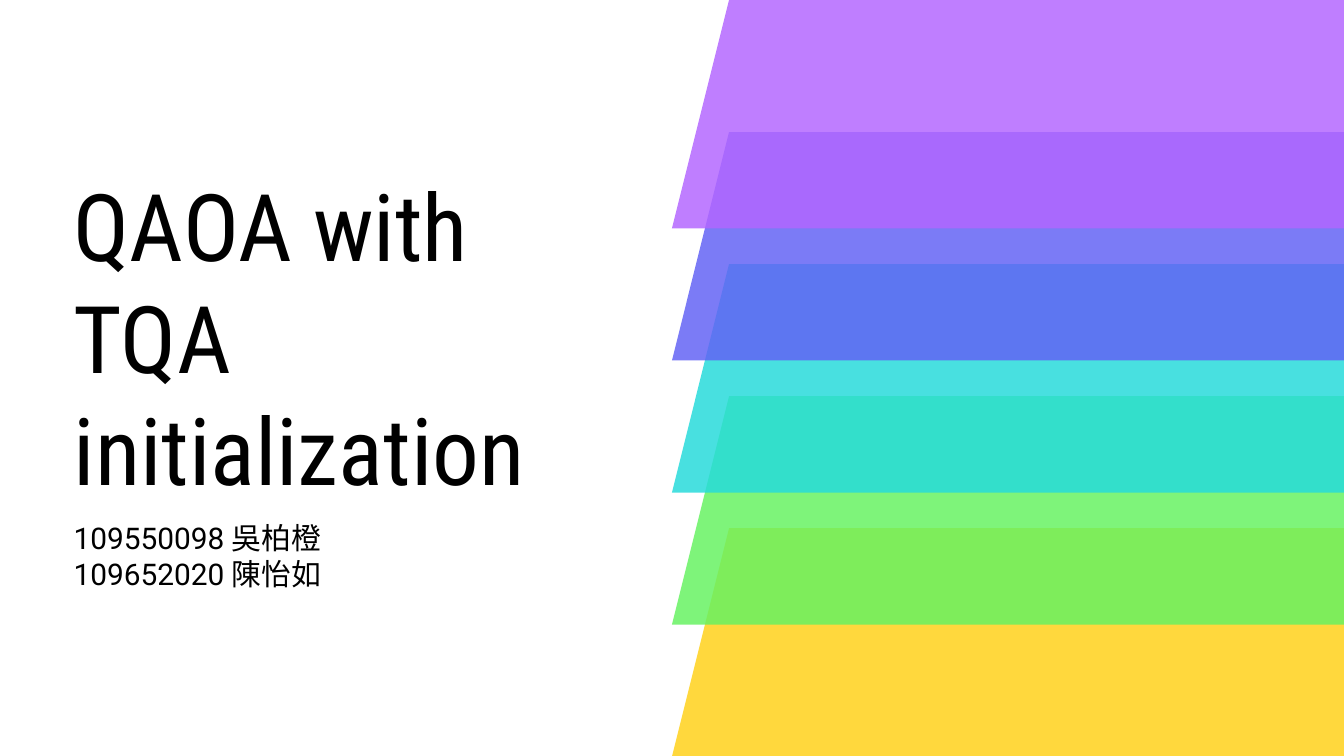
from dataclasses import dataclass

from lxml import etree
from pptx import Presentation
from pptx.dml.color import RGBColor
from pptx.enum import shapes, text
from pptx.oxml import ns
from pptx.util import Inches, Pt


@dataclass(frozen=True)
class Theme:
    ink: str = "000000"
    bands: tuple = ("B366FF", "6262F5", "25DBDB", "66F261", "FFD119")
    band_opacity: int = 84
    title_font: str = "Roboto Condensed"
    body_font: str = "Roboto"
    title_size: int = 50
    body_size: int = 16


THEME = Theme()


def add_text(slide, top, height, lines, font, size):
    """Add a left-aligned, vertically centred text box."""
    box = slide.shapes.add_textbox(
        Inches(0.45), Inches(top), Inches(4), Inches(height))
    frame = box.text_frame
    frame.word_wrap = True
    frame.vertical_anchor = text.MSO_ANCHOR.MIDDLE
    frame.margin_left = frame.margin_right = Inches(0.1)
    frame.margin_top = frame.margin_bottom = Inches(0.1)
    frame.text = "\n".join(lines)
    for paragraph in frame.paragraphs:
        for run in paragraph.runs:
            run.font.name = font
            run.font.size = Pt(size)
            run.font.color.rgb = RGBColor.from_string(THEME.ink)


def add_band(slide, top, color):
    """Add a translucent trapezoid that runs past the right edge."""
    shape = slide.shapes.add_shape(
        shapes.MSO_SHAPE.TRAPEZOID,
        Inches(5), Inches(top), Inches(7.36), Inches(1.7))
    shape.adjustments[0] = 0.25
    shape.shadow.inherit = False
    shape.line.fill.background()
    shape.fill.solid()
    shape.fill.fore_color.rgb = RGBColor.from_string(color)
    color_element = shape.fill._xPr.find(".//" + ns.qn("a:srgbClr"))
    alpha = etree.SubElement(color_element, ns.qn("a:alpha"))
    alpha.set("val", str(THEME.band_opacity * 1000))


def main():
    presentation = Presentation()
    presentation.slide_width = Inches(10)
    presentation.slide_height = Inches(5.625)
    slide = presentation.slides.add_slide(presentation.slide_layouts[6])

    # Title and authors
    add_text(slide, 1.21, 2.59, ["QAOA with TQA initialization"],
             THEME.title_font, THEME.title_size)
    add_text(slide, 3.91, 0.45, ["109550098 吳柏橙", "109652020 陳怡如"],
             THEME.body_font, THEME.body_size)

    # Overlapping bands, stacked from the bottom up
    band_step = 3.93 / (len(THEME.bands) - 1)
    for index, color in reversed(list(enumerate(THEME.bands))):
        add_band(slide, index * band_step, color)

    presentation.save("out.pptx")


if __name__ == "__main__":
    main()
